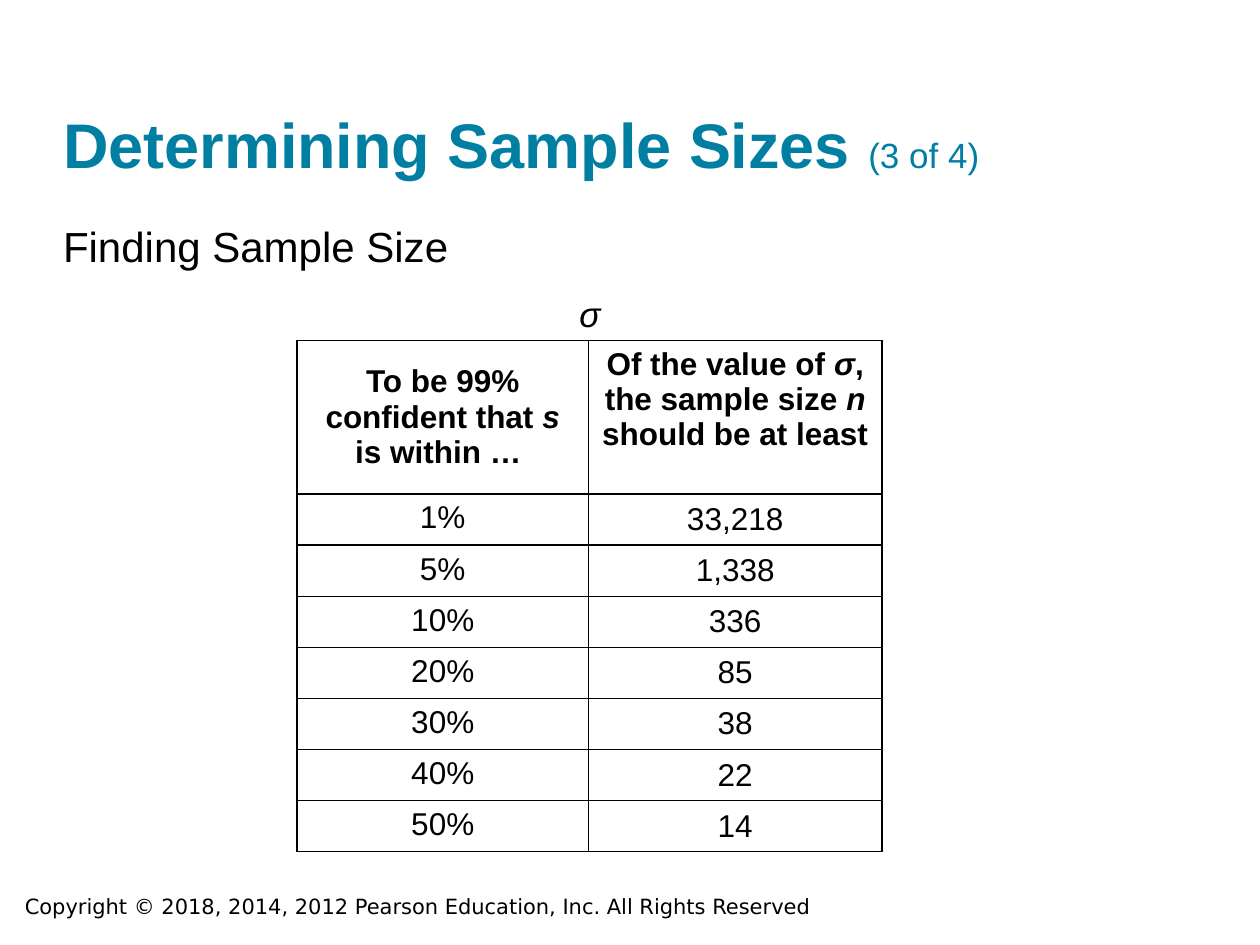
from lxml import etree
from pptx import Presentation
from pptx.dml.color import RGBColor
from pptx.enum.text import MSO_ANCHOR, MSO_AUTO_SIZE, PP_ALIGN
from pptx.oxml.ns import qn
from pptx.util import Cm, Pt

LEFT, CENTER = PP_ALIGN.LEFT, PP_ALIGN.CENTER
TOP, MIDDLE, BOTTOM = MSO_ANCHOR.TOP, MSO_ANCHOR.MIDDLE, MSO_ANCHOR.BOTTOM
NO_AUTOFIT = MSO_AUTO_SIZE.NONE
TWO_CONTENT_LAYOUT = 3

HEADINGS = (
    [("To be 99% confident that ", False), ("s ", True), ("is within … ", False)],
    [("Of the value of ", False), ("σ", True), (", the sample size ", False),
     ("n ", True), ("should be at least", False)],
)
SAMPLE_SIZES = [
    ("1%", "33,218"), ("5%", "1,338"), ("10%", "336"), ("20%", "85"),
    ("30%", "38"), ("40%", "22"), ("50%", "14"),
]


def color(hex_string):
    return RGBColor.from_string(hex_string)


class SlideBuilder:
    font_name = "Arial"
    ink = "000000"
    accent = "007FA3"
    paper = "FFFFFF"

    def __init__(self, slide):
        self.slide = slide

    def style(self, font, size, ink=None, bold=False, italic=False, name=None):
        font.name = name or self.font_name
        font.size = Pt(size)
        font.bold = bold
        font.italic = italic
        font.color.rgb = color(ink or self.ink)

    def place(self, placeholder, box, anchor):
        """Move a placeholder and return its first paragraph, unindented."""
        (placeholder.left, placeholder.top,
         placeholder.width, placeholder.height) = map(Cm, box)
        frame = placeholder.text_frame
        frame.margin_left = frame.margin_right = 0
        frame.margin_top = frame.margin_bottom = 0
        frame.word_wrap = True
        frame.auto_size = NO_AUTOFIT
        frame.vertical_anchor = anchor
        paragraph = frame.paragraphs[0]
        paragraph.alignment = LEFT
        paragraph.space_before = Pt(0)
        return paragraph

    def title(self, heading, part, box):
        paragraph = self.place(self.slide.shapes.title, box, BOTTOM)
        for text, size, bold in ((heading, 36, True), (part, 20, False)):
            run = paragraph.add_run()
            run.text = text
            self.style(run.font, size, self.accent, bold)

    def body(self, index, text, box, size, italic=False):
        paragraph = self.place(self.slide.placeholders[index], box, TOP)
        paragraph.text = text
        properties = paragraph._p.get_or_add_pPr()
        properties.set("marL", "0")
        properties.set("indent", "0")
        etree.SubElement(properties, qn("a:buNone"))
        self.style(paragraph.font, size, italic=italic)

    def footer(self, text, box):
        frame = self.slide.shapes.add_textbox(*map(Cm, box)).text_frame
        frame.word_wrap = True
        paragraph = frame.paragraphs[0]
        paragraph.text = text
        self.style(paragraph.font, 12, name="DejaVu Sans")

    def cell(self, cell, runs, anchor, bold=False):
        cell.fill.solid()
        cell.fill.fore_color.rgb = color(self.paper)
        cell.vertical_anchor = anchor
        paragraph = cell.text_frame.paragraphs[0]
        paragraph.alignment = CENTER
        self.style(paragraph.font, 18, bold=bold)
        for text, italic in runs:
            run = paragraph.add_run()
            run.text = text
            self.style(run.font, 18, bold=bold, italic=italic)
        self.borders(cell)

    def borders(self, cell):
        properties = cell._tc.get_or_add_tcPr()
        for position, side in enumerate(("lnL", "lnR", "lnT", "lnB")):
            line = etree.Element(qn(f"a:{side}"), w=str(Pt(1)))
            fill = etree.SubElement(line, qn("a:solidFill"))
            etree.SubElement(fill, qn("a:srgbClr"), val=self.ink)
            properties.insert(position, line)

    def table(self, headings, rows, left, top, widths, heading_height, row_height):
        heights = [heading_height] + [row_height] * len(rows)
        table = self.slide.shapes.add_table(
            len(heights), len(widths), Cm(left), Cm(top),
            Cm(sum(widths)), Cm(sum(heights))).table
        table.first_row = table.horz_banding = False
        for column, width in zip(table.columns, widths):
            column.width = Cm(width)
        for row, height in zip(table.rows, heights):
            row.height = Cm(height)
        for column, (runs, anchor) in enumerate(zip(headings, (MIDDLE, TOP))):
            self.cell(table.cell(0, column), runs, anchor, bold=True)
        for row, values in enumerate(rows, start=1):
            for column, (value, anchor) in enumerate(zip(values, (TOP, MIDDLE))):
                self.cell(table.cell(row, column), [(value, False)], anchor)


def main():
    presentation = Presentation()
    presentation.slide_width, presentation.slide_height = Cm(25.4), Cm(19.05)
    layout = presentation.slide_layouts[TWO_CONTENT_LAYOUT]
    builder = SlideBuilder(presentation.slides.add_slide(layout))
    builder.footer(
        "Copyright © 2018, 2014, 2012 Pearson Education, Inc. All Rights Reserved",
        (0.25, 17.88, 19.89, 0.76))
    builder.title("Determining Sample Sizes ", "(3 of 4)", (1.27, 0.61, 22.86, 3.05))
    builder.body(1, "Finding Sample Size", (1.27, 4.45, 8.05, 1.09), 24)
    builder.body(2, "σ", (11.68, 5.89, 0.81, 0.74), 20, italic=True)
    builder.table(HEADINGS, SAMPLE_SIZES, left=5.99, top=6.86,
                  widths=(5.87, 5.92), heading_height=3.1, row_height=1.03)
    presentation.save("out.pptx")


if __name__ == "__main__":
    main()
